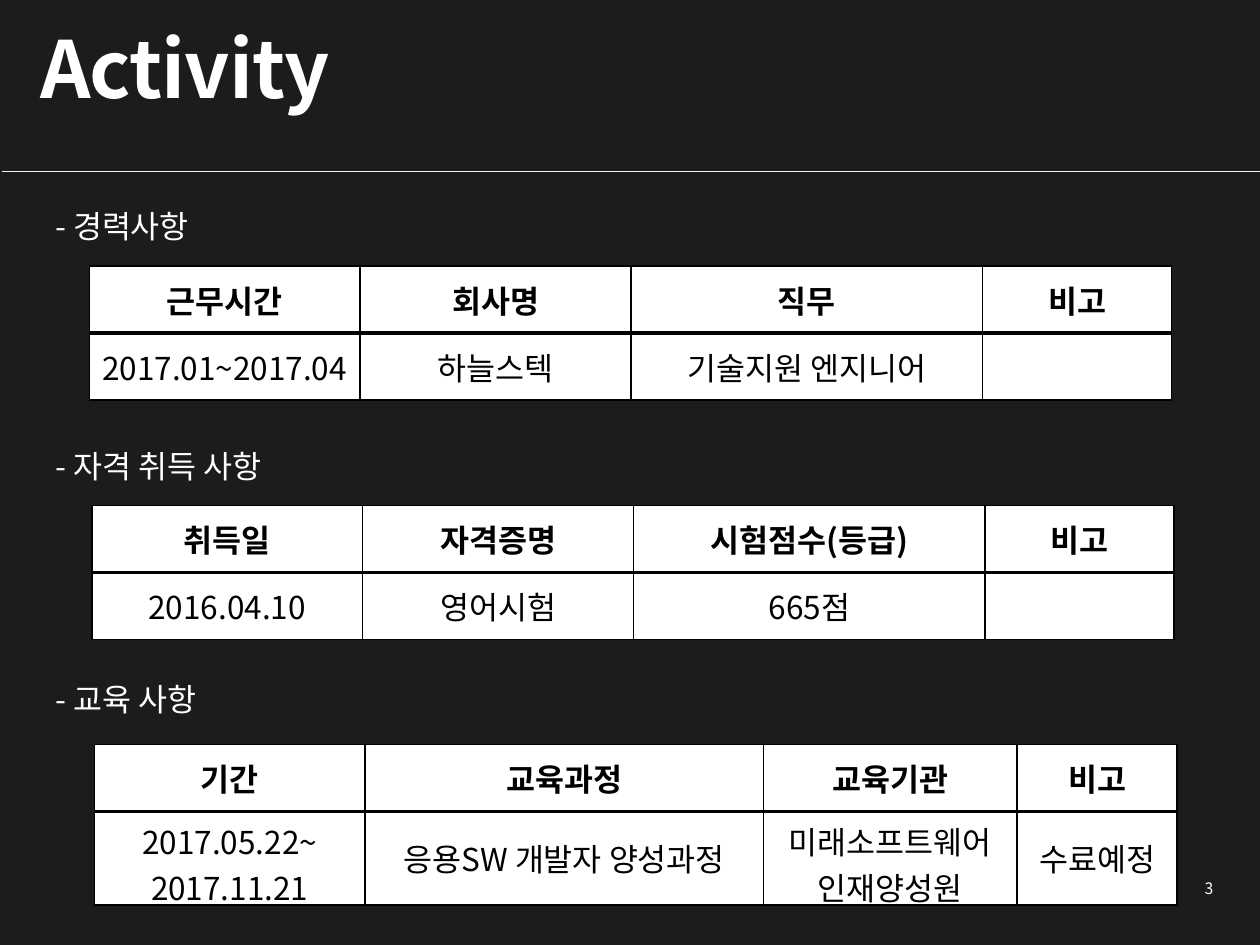
import dataclasses

import lxml.etree
import pptx
import pptx.dml.color
import pptx.enum.shapes
import pptx.enum.text
import pptx.oxml.ns
import pptx.util

Cm = pptx.util.Cm
Pt = pptx.util.Pt
RGBColor = pptx.dml.color.RGBColor
Align = pptx.enum.text.PP_ALIGN
Anchor = pptx.enum.text.MSO_ANCHOR
qn = pptx.oxml.ns.qn

FONT = "Noto Sans CJK KR"
WHITE = RGBColor(0xFF, 0xFF, 0xFF)
BLACK = RGBColor(0x00, 0x00, 0x00)
BACKGROUND = RGBColor(0x1C, 0x1C, 0x1C)
RULE = RGBColor(0xF2, 0xF2, 0xF2)
THIN = Pt(1)
THICK = Pt(2.25)
LABEL_LEFT = 0.86
HEADER_HEIGHT = 1.35


@dataclasses.dataclass
class Section:
    label: str
    label_top: float
    table_left: float
    table_top: float
    columns: tuple[float, ...]
    body_height: float
    header: tuple[str, ...]
    body: tuple[str, ...]


SECTIONS = [
    Section("- 경력사항", 4.04, 1.8, 5.36, (5.46, 5.46, 7.09, 3.81), 1.35,
            ("근무시간", "회사명", "직무", "비고"),
            ("2017.01~2017.04", "하늘스텍", "기술지원 엔지니어", "")),
    Section("- 자격 취득 사항", 8.89, 1.85, 10.19, (5.46, 5.46, 7.09, 3.81), 1.35,
            ("취득일", "자격증명", "시험점수(등급)", "비고"),
            ("2016.04.10", "영어시험", "665점", "")),
    Section("- 교육 사항", 13.59, 1.9, 15.01, (5.46, 8.03, 5.11, 3.23), 1.88,
            ("기간", "교육과정", "교육기관", "비고"),
            ("2017.05.22~\n2017.11.21", "응용SW 개발자 양성과정",
             "미래소프트웨어 인재양성원", "수료예정")),
]


def write_text(frame, text: str, *, size: float = 18, color: RGBColor = WHITE,
               bold: bool = False, align=Align.LEFT, line_spacing: float = 1.0,
               tracking: int = 0) -> None:
    for index, line in enumerate(text.split("\n")):
        para = frame.add_paragraph() if index else frame.paragraphs[0]
        para.alignment = align
        para.line_spacing = line_spacing
        span = para.add_run()
        span.text = line
        span.font.name = FONT
        span.font.size = Pt(size)
        span.font.bold = bold
        span.font.color.rgb = color
        properties = span._r.get_or_add_rPr()
        lxml.etree.SubElement(properties, qn("a:ea"), typeface=FONT)
        if tracking:
            properties.set("spc", str(tracking))


def add_text_box(page, left: float, top: float, width: float, height: float,
                 text: str, *, wrap: bool = True, **text_format) -> None:
    box = page.shapes.add_textbox(Cm(left), Cm(top), Cm(width), Cm(height))
    box.text_frame.word_wrap = wrap
    write_text(box.text_frame, text, **text_format)


def set_borders(cell, top: int, bottom: int) -> None:
    properties = cell._tc.get_or_add_tcPr()
    for side, width in (("L", THIN), ("R", THIN), ("T", top), ("B", bottom)):
        border = lxml.etree.SubElement(properties, qn(f"a:ln{side}"), w=str(int(width)))
        fill = lxml.etree.SubElement(border, qn("a:solidFill"))
        lxml.etree.SubElement(fill, qn("a:srgbClr"), val=str(BLACK))


def add_section(page, section: Section) -> None:
    add_text_box(page, LABEL_LEFT, section.label_top, 23.72, 1.04, section.label)
    table = page.shapes.add_table(
        2, len(section.columns), Cm(section.table_left), Cm(section.table_top),
        Cm(sum(section.columns)), Cm(HEADER_HEIGHT + section.body_height)).table
    table.first_row = False
    table.horz_banding = False
    for column, width in zip(table.columns, section.columns):
        column.width = Cm(width)
    for row, height in zip(table.rows, (HEADER_HEIGHT, section.body_height)):
        row.height = Cm(height)
    for row_index, texts in enumerate((section.header, section.body)):
        is_header = row_index == 0
        for column_index, text in enumerate(texts):
            cell = table.cell(row_index, column_index)
            set_borders(cell, THIN if is_header else THICK, THICK if is_header else THIN)
            cell.fill.solid()
            cell.fill.fore_color.rgb = WHITE
            cell.vertical_anchor = Anchor.MIDDLE
            if text:
                write_text(cell.text_frame, text, color=BLACK, bold=is_header,
                           align=Align.CENTER)


def add_title(page, text: str) -> None:
    title = page.shapes.title
    title.left, title.top, title.width, title.height = Cm(0.56), Cm(0.51), Cm(21.59), Cm(2.84)
    frame = title.text_frame
    frame.auto_size = pptx.enum.text.MSO_AUTO_SIZE.NONE
    frame.vertical_anchor = Anchor.TOP
    frame.margin_top = Cm(0.1)
    write_text(frame, text, size=45, bold=True, line_spacing=0.9, tracking=-50)


def add_rule(page, left: float, right: float, top: float) -> None:
    rule = page.shapes.add_connector(
        pptx.enum.shapes.MSO_CONNECTOR.STRAIGHT, Cm(left), Cm(top), Cm(right), Cm(top))
    rule.line.color.rgb = RULE
    rule.line.width = Pt(0.25)
    lxml.etree.SubElement(rule._element.spPr, qn("a:effectLst"))


def main() -> None:
    deck = pptx.Presentation()
    deck.slide_width, deck.slide_height = Cm(25.4), Cm(19.05)
    page = deck.slides.add_slide(deck.slide_layouts[5])
    page.background.fill.solid()
    page.background.fill.fore_color.rgb = BACKGROUND
    add_title(page, "Activity")
    add_rule(page, 0.05, 25.73, 3.45)
    for section in SECTIONS:
        add_section(page, section)
    add_text_box(page, 24, 17.6, 0.71, 0.64, "3", wrap=False, size=9, align=Align.RIGHT)
    deck.save("out.pptx")


if __name__ == "__main__":
    main()
